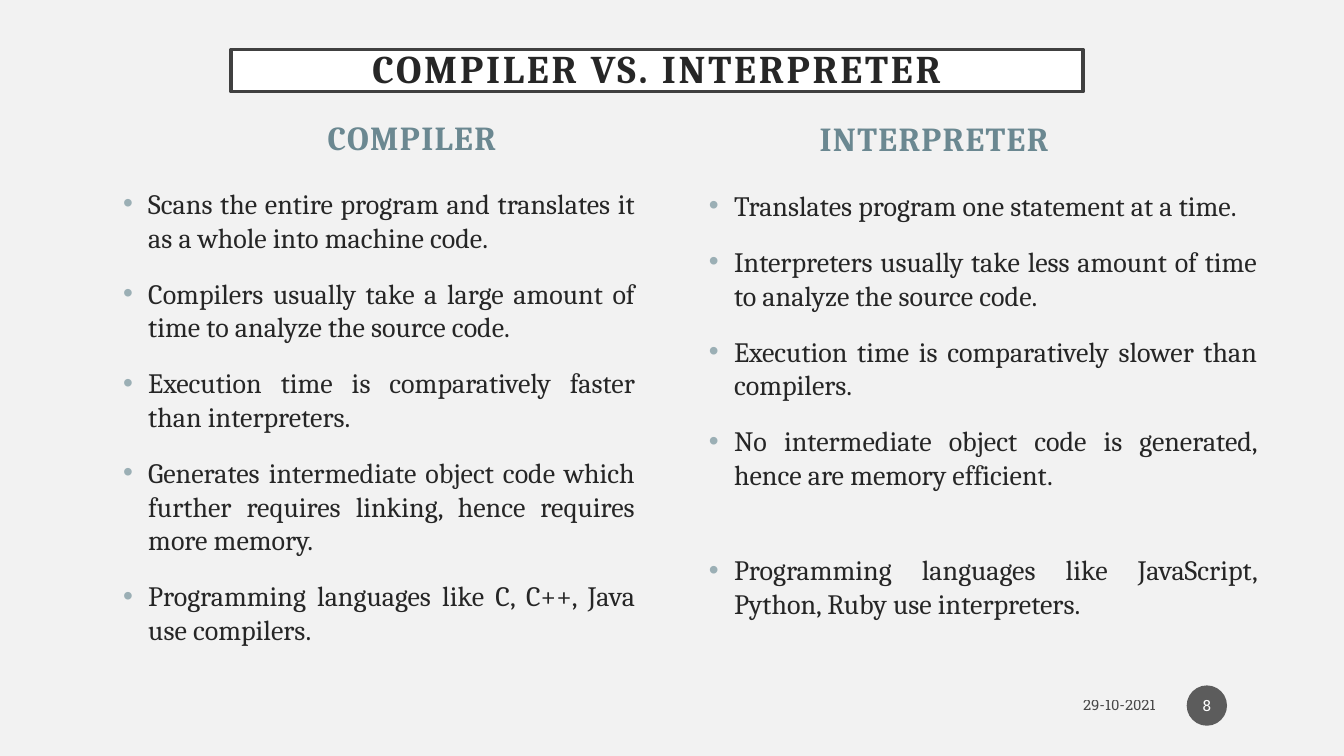
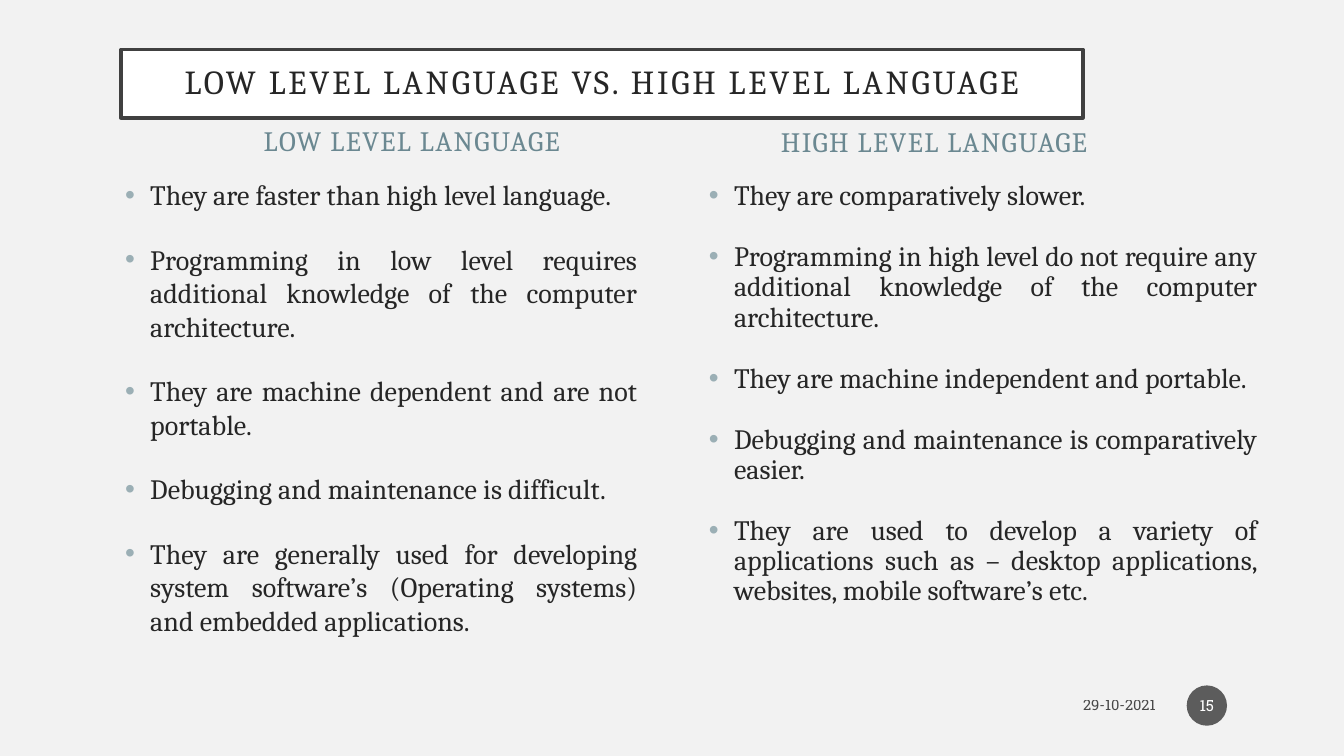
"""Build two comparison slides with a boxed title, two lists and a footer."""
from dataclasses import dataclass

from lxml.etree import SubElement
from pptx import Presentation
from pptx.dml.color import RGBColor as RGB
from pptx.enum.shapes import MSO_SHAPE as SHAPE
from pptx.enum.text import MSO_ANCHOR as ANCHOR, MSO_AUTO_SIZE as AUTO, PP_ALIGN as ALIGN
from pptx.oxml.ns import qn
from pptx.util import Inches, Pt

COLORS = {
    "page": "F2F2F2", "box": "FFFFFF", "border": "404040", "text": "262626",
    "heading": "6B8891", "bullet": "9BAFB5", "date": "000000", "badge": "1D1D1D",
}
SERIF, SLAB = "Cambria", "Roboto Slab"
Box = tuple[float, float, float, float]


@dataclass
class Item:
    text: str
    after: float | None = None
    spacing: float | None = None


@dataclass
class Column:
    heading: str
    heading_box: Box
    box: Box
    items: list[Item]
    after: float
    spacing: float = 1.0


@dataclass
class Comparison:
    title: str
    title_box: Box
    title_size: float
    heading_size: float
    bold: bool
    number: int
    columns: list[Column]


LEFT_HEAD, RIGHT_HEAD = (1.75, 0.84, 4.67, 0.77), (6.93, 0.85, 4.67, 0.77)

COMPARISONS = [
    Comparison("COMPILER VS. INTERPRETER", (2.29, 0.49, 8.45, 0.42), 28, 24, True, 8, [
        Column("COMPILER", LEFT_HEAD, (1.12, 1.8, 5.28, 4.78), [
            Item("Scans the entire program and translates it as a whole into machine code."),
            Item("Compilers usually take a large amount of time to analyze the source code."),
            Item("Execution time is comparatively faster than interpreters."),
            Item("Generates intermediate object code which further requires linking, "
                 "hence requires more memory."),
            Item("Programming languages like C, C++, Java use compilers."),
        ], after=6),
        Column("INTERPRETER", RIGHT_HEAD, (6.93, 1.82, 5.64, 4.86), [
            Item("Translates program one statement at a time."),
            Item("Interpreters usually take less amount of time to analyze the source code."),
            Item("Execution time is comparatively slower than compilers."),
            Item("No intermediate object code is generated, hence are memory efficient.",
                 after=34),
            Item("Programming languages like JavaScript, Python, Ruby use interpreters."),
        ], after=6),
    ]),
    Comparison("LOW LEVEL LANGUAGE VS. HIGH LEVEL LANGUAGE", (1.2, 0.49, 9.54, 0.68),
               24, 20, False, 15, [
        Column("LOW LEVEL LANGUAGE", LEFT_HEAD, (1.14, 1.68, 5.28, 4.91), [
            Item("They are faster than high level language.", spacing=1.1),
            Item("Programming in low level requires additional knowledge of the "
                 "computer architecture."),
            Item("They are machine dependent and are not portable."),
            Item("Debugging and maintenance is difficult."),
            Item("They are generally used for developing system software’s "
                 "(Operating systems) and embedded applications."),
        ], after=12),
        Column("HIGH LEVEL LANGUAGE", RIGHT_HEAD, (6.93, 1.75, 5.64, 4.72), [
            Item("They are comparatively slower."),
            Item("Programming in high level do not require any additional knowledge of "
                 "the computer architecture."),
            Item("They are machine independent and portable."),
            Item("Debugging and maintenance is comparatively easier."),
            Item("They are used to develop a variety of applications such as – desktop "
                 "applications, websites, mobile software’s etc."),
        ], after=12, spacing=0.9),
    ]),
]


def place(sp, box: Box) -> None:
    """Move and size a shape in inches."""
    sp.left, sp.top, sp.width, sp.height = map(Inches, box)


def setup_frame(sp, anchor, insets: tuple[float, float] = (0.1, 0.05)):
    """Fix the anchor, wrapping and insets of a shape's text and return its frame."""
    tf = sp.text_frame
    tf.word_wrap = True
    tf.auto_size = AUTO.NONE
    tf.vertical_anchor = anchor
    tf.margin_left = tf.margin_right = Inches(insets[0])
    tf.margin_top = tf.margin_bottom = Inches(insets[1])
    return tf


def set_alpha(fill, percent: int) -> None:
    """Make a solid fill partly transparent."""
    SubElement(fill._xPr.find(".//" + qn("a:srgbClr")), qn("a:alpha"), val=str(percent * 1000))


def write(p, text: str, *, size: float, color: str, font: str = SERIF, bold: bool = False,
          align=ALIGN.CENTER, tracking: float = 0, before: float = 0, after: float = 0,
          spacing: float = 1.0, alpha: int = 100) -> None:
    """Write one formatted run into a paragraph."""
    p.alignment, p.line_spacing = align, spacing
    p.space_before, p.space_after = Pt(before), Pt(after)
    r = p.add_run()
    r.text = text
    r.font.name, r.font.size, r.font.bold = font, Pt(size), bold
    r.font.color.rgb = RGB.from_string(COLORS[color])
    if alpha < 100:
        set_alpha(r.font.fill, alpha)
    if tracking:
        r.font._element.set("spc", str(int(tracking * 100)))


def add_bullet(p) -> None:
    """Give a paragraph a hanging round bullet."""
    pPr = p._p.get_or_add_pPr()
    pPr.set("marL", str(Inches(0.25)))
    pPr.set("indent", str(Inches(-0.25)))
    SubElement(SubElement(pPr, qn("a:buClr")), qn("a:srgbClr"), val=COLORS["bullet"])
    SubElement(pPr, qn("a:buFont"), typeface="Arial")
    SubElement(pPr, qn("a:buChar"), char="•")


def draw_title(s, c: Comparison) -> None:
    """Format the title placeholder as an outlined box."""
    sp = s.shapes.title
    place(sp, c.title_box)
    sp.fill.solid()
    sp.fill.fore_color.rgb = RGB.from_string(COLORS["box"])
    sp.line.color.rgb = RGB.from_string(COLORS["border"])
    sp.line.width = Pt(2.5)
    tf = setup_frame(sp, ANCHOR.MIDDLE, (0.2, 0.2))
    write(tf.paragraphs[0], c.title, size=c.title_size, color="text", bold=c.bold,
          tracking=2, spacing=0.9)


def draw_column(head, body, col: Column, size: float, bold: bool) -> None:
    """Fill a heading placeholder and the list placeholder under it."""
    place(head, col.heading_box)
    place(body, col.box)
    write(setup_frame(head, ANCHOR.BOTTOM).paragraphs[0], col.heading, size=size,
          color="heading", bold=bold, tracking=1, before=10)
    tf = setup_frame(body, ANCHOR.TOP)
    for i, item in enumerate(col.items):
        p = tf.add_paragraph() if i else tf.paragraphs[0]
        write(p, item.text, size=20, color="text", align=ALIGN.JUSTIFY, before=10,
              after=item.after or col.after, spacing=item.spacing or col.spacing)
        add_bullet(p)


def draw_footer(s, number: int) -> None:
    """Add the date and the round page badge."""
    date = s.shapes.add_textbox(*map(Inches, (8.55, 6.82, 3.01, 0.35)))
    write(setup_frame(date, ANCHOR.MIDDLE).paragraphs[0], "29-10-2021", size=10.5,
          color="date", font=SLAB, align=ALIGN.RIGHT, alpha=70)
    badge = s.shapes.add_shape(SHAPE.OVAL, *map(Inches, (11.77, 6.8, 0.4, 0.4)))
    badge.shadow.inherit = False
    badge.fill.solid()
    badge.fill.fore_color.rgb = RGB.from_string(COLORS["badge"])
    set_alpha(badge.fill, 70)
    badge.line.fill.background()
    tf = setup_frame(badge, ANCHOR.MIDDLE, (0.02, 0.05))
    write(tf.paragraphs[0], str(number), size=11, color="box", font=SLAB)


def draw_comparison(prs, c: Comparison) -> None:
    """Add one comparison slide."""
    s = prs.slides.add_slide(prs.slide_layouts.get_by_name("Comparison"))
    draw_title(s, c)
    holders = list(s.placeholders)[1:]
    for head, body, col in zip(holders[::2], holders[1::2], c.columns):
        draw_column(head, body, col, c.heading_size, c.bold)
    draw_footer(s, c.number)


def main() -> None:
    """Build and save the presentation."""
    prs = Presentation()
    prs.slide_width, prs.slide_height = Inches(13.33), Inches(7.5)
    fill = prs.slide_master.background.fill
    fill.solid()
    fill.fore_color.rgb = RGB.from_string(COLORS["page"])
    for c in COMPARISONS:
        draw_comparison(prs, c)
    prs.save("out.pptx")


main()
